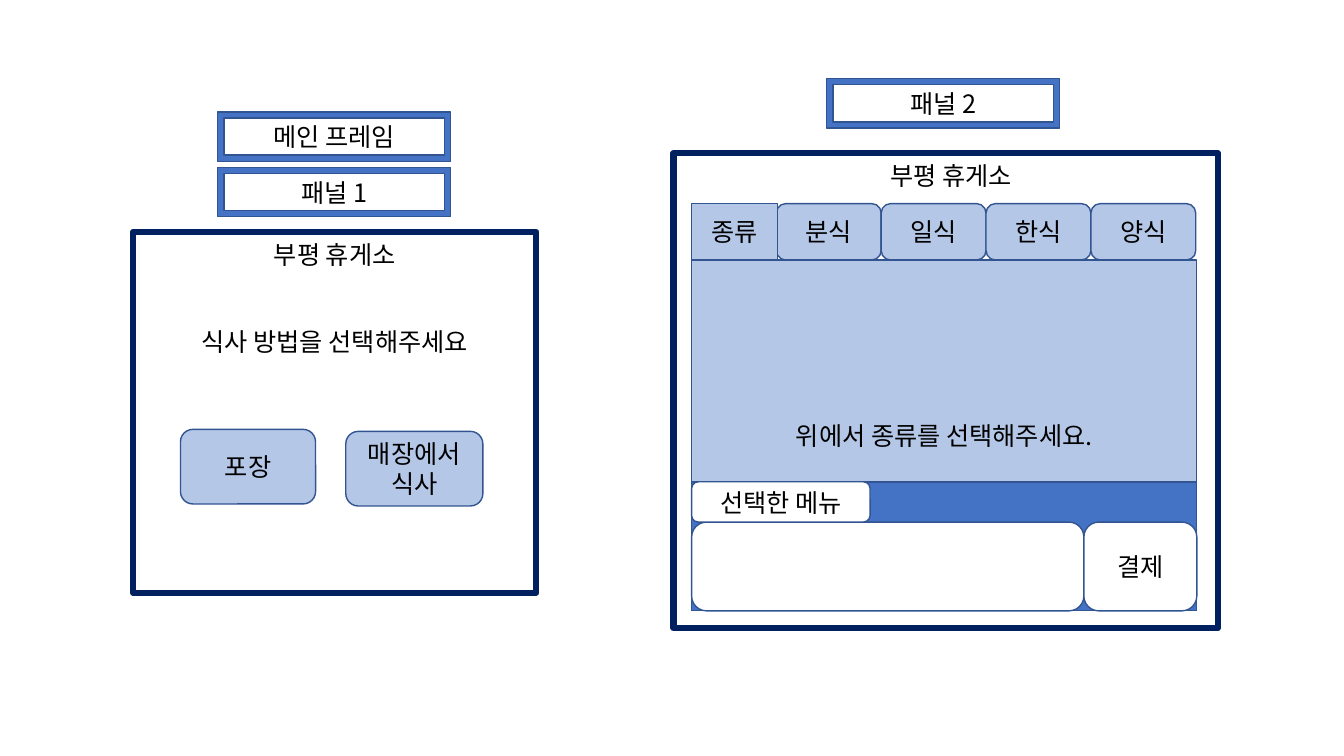
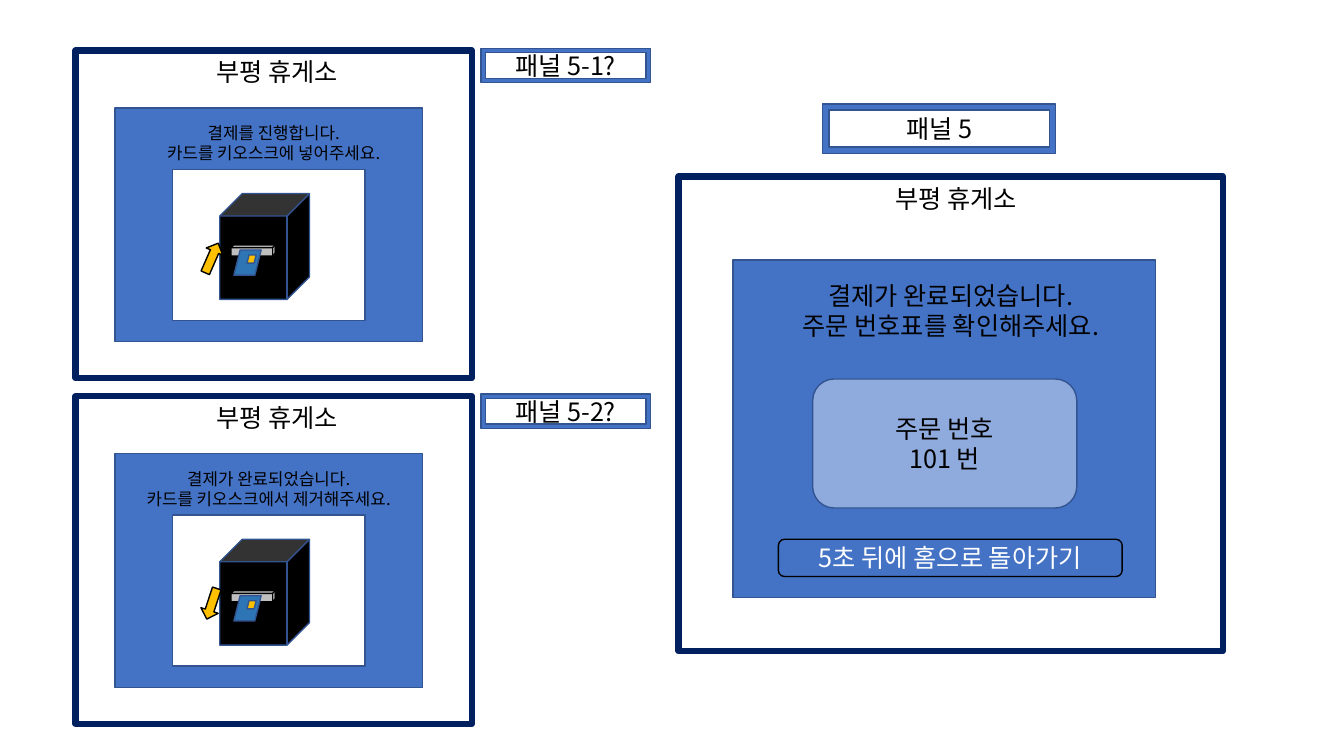
from lxml.etree import SubElement
from pptx import Presentation
from pptx.dml.color import RGBColor
from pptx.enum.shapes import MSO_SHAPE
from pptx.enum.text import MSO_ANCHOR, MSO_AUTO_SIZE, PP_ALIGN
from pptx.oxml.ns import qn
from pptx.util import Pt

PX = 9144
FONT = "Noto Sans CJK KR"
BLACK = RGBColor(0x00, 0x00, 0x00)
WHITE = RGBColor(0xFF, 0xFF, 0xFF)
NAVY = RGBColor(0x00, 0x20, 0x60)
EDGE = RGBColor(0x32, 0x54, 0x91)
BLUE = RGBColor(0x44, 0x72, 0xC4)
LIGHT = RGBColor(0xB4, 0xC7, 0xE7)
SOFT = RGBColor(0x8F, 0xAA, 0xDC)
CARD = RGBColor(0x2E, 0x75, 0xB6)
GOLD = RGBColor(0xFF, 0xC0, 0x00)
SILVER = RGBColor(0xBF, 0xBF, 0xBF)


class Storyboard:
    def __init__(self):
        self.deck = Presentation()
        self.deck.slide_width = 1333 * PX
        self.deck.slide_height = 750 * PX
        self.page = None

    def add_page(self):
        self.page = self.deck.slides.add_slide(self.deck.slide_layouts[6])

    def fill_text(self, frame, lines, size, color):
        frame.word_wrap = True
        for index, line in enumerate(lines):
            para = frame.add_paragraph() if index else frame.paragraphs[0]
            para.text = line
            para.alignment = PP_ALIGN.CENTER
            para.font.size = Pt(size)
            para.font.name = FONT
            para.font.color.rgb = color
            defaults = para._p.pPr.find(qn("a:defRPr"))
            SubElement(defaults, qn("a:ea")).set("typeface", FONT)

    def text(self, box, *lines, size=18):
        label = self.page.shapes.add_textbox(*(value * PX for value in box))
        self.fill_text(label.text_frame, lines, size, BLACK)
        label.text_frame.auto_size = MSO_AUTO_SIZE.SHAPE_TO_FIT_TEXT

    def shape(self, kind, box, fill, *lines, edge=EDGE, weight=1, color=BLACK, turn=0):
        item = self.page.shapes.add_shape(kind, *(value * PX for value in box))
        item.shadow.inherit = False
        if fill is None:
            item.fill.background()
        else:
            item.fill.solid()
            item.fill.fore_color.rgb = fill
        item.line.color.rgb = edge
        item.line.width = Pt(weight)
        item.rotation = turn
        if lines:
            item.text_frame.vertical_anchor = MSO_ANCHOR.MIDDLE
            self.fill_text(item.text_frame, lines, 18, color)

    def block(self, box, fill, *lines):
        self.shape(MSO_SHAPE.RECTANGLE, box, fill, *lines)

    def button(self, box, fill, *lines, **style):
        self.shape(MSO_SHAPE.ROUNDED_RECTANGLE, box, fill, *lines, **style)

    def tag(self, left, top, name, width=231, height=49):
        self.shape(MSO_SHAPE.FRAME, (left, top, width, height), BLUE, name)

    def panel(self, box, title_box):
        self.shape(MSO_SHAPE.RECTANGLE, box, None, edge=NAVY, weight=4.5)
        self.text(title_box, "부평 휴게소")

    def card_panel(self, top, name, message_left, message_width, lines, turn):
        self.panel((75, top, 393, 325), (187, top + 1, 176, 28))
        self.tag(477, top - 2, name, 168, 34)
        self.block((114, top + 57, 305, 232), BLUE)
        self.text((message_left, top + 67, message_width, 50), *lines, size=12)
        self.block((171, top + 118, 191, 150), WHITE)
        self.shape(MSO_SHAPE.CUBE, (218, top + 142, 89, 105), BLACK)
        self.shape(MSO_SHAPE.CUBE, (229, top + 193, 44, 11), SILVER, edge=BLACK)
        self.shape(MSO_SHAPE.PARALLELOGRAM, (232, top + 198, 27, 25), CARD)
        self.shape(MSO_SHAPE.PARALLELOGRAM, (245, top + 203, 9, 8), GOLD)
        self.shape(MSO_SHAPE.RIGHT_ARROW, (194, top + 197, 32, 18), GOLD,
                   edge=BLACK, turn=turn)


def build_ordering(board):
    board.add_page()
    board.panel((132, 230, 400, 358), (211, 233, 242, 40))
    board.text((149, 319, 366, 40), "식사 방법을 선택해주세요")
    board.button((179, 426, 134, 74), LIGHT, "포장")
    board.button((343, 428, 136, 74), LIGHT, "매장에서 식사")
    board.tag(216, 111, "메인 프레임")
    board.tag(216, 166, "패널 1")

    board.panel((668, 152, 540, 471), (822, 154, 242, 40))
    board.tag(820, 78, "패널 2")
    for index, name in enumerate(("분식", "일식", "한식", "양식")):
        board.button((770 + 104 * index, 202, 104, 56), LIGHT, name)
    board.block((686, 202, 85, 56), LIGHT, "종류")
    board.block((686, 258, 501, 348), LIGHT, "위에서 종류를 선택해주세요.")
    board.block((686, 478, 501, 128), BLUE)
    board.button((686, 518, 389, 88), WHITE)
    board.button((1075, 518, 112, 88), WHITE, "결제")
    board.button((686, 478, 177, 40), WHITE, "선택한 메뉴")


def build_payment(board):
    board.add_page()
    board.card_panel(50, "패널 5-1?", 134, 275,
                     ("결제를 진행합니다.", "카드를 키오스크에 넣어주세요."), 293.6)
    board.card_panel(393, "패널 5-2?", 114, 305,
                     ("결제가 완료되었습니다.", "카드를 키오스크에서 제거해주세요."), 108.1)

    board.panel((673, 175, 540, 471), (827, 177, 242, 40))
    board.tag(816, 103, "패널 5")
    board.block((727, 258, 419, 335), BLUE)
    board.text((754, 273, 378, 71), "결제가 완료되었습니다.", "주문 번호표를 확인해주세요.")
    board.button((806, 376, 262, 128), SOFT, "주문 번호", "101 번")
    board.button((772, 535, 341, 37), BLUE, "5초 뒤에 홈으로 돌아가기",
                 edge=BLACK, color=WHITE)


def main():
    board = Storyboard()
    build_ordering(board)
    build_payment(board)
    board.deck.save("out.pptx")


if __name__ == "__main__":
    main()
